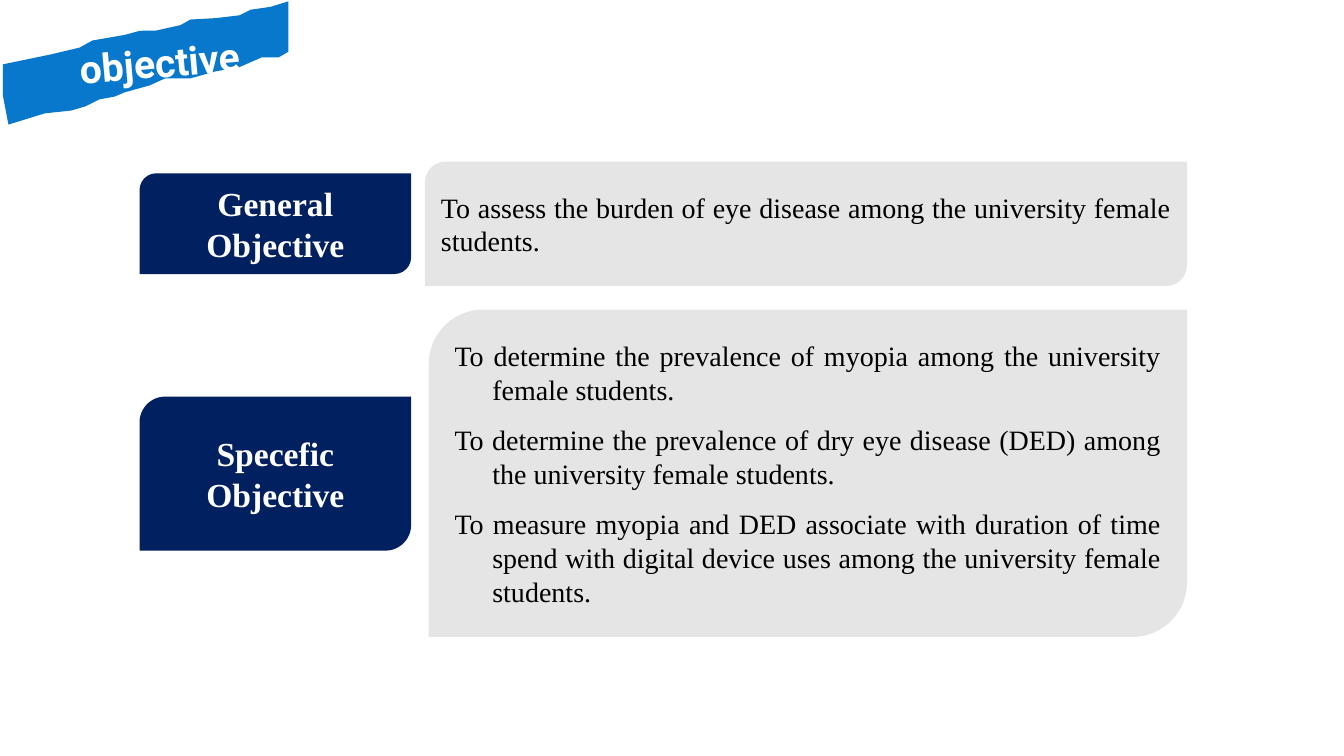
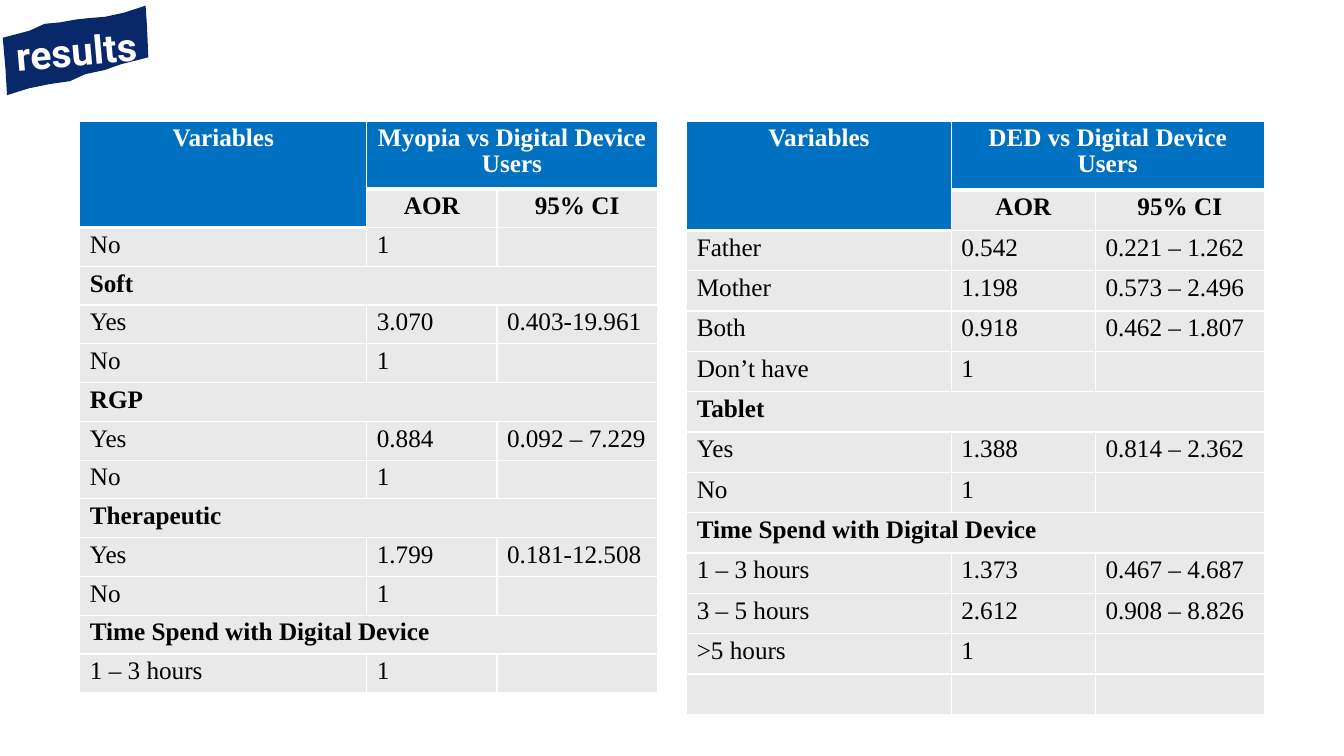
from dataclasses import dataclass
from math import cos, radians, sin

from lxml.etree import SubElement
from pptx import Presentation
from pptx.dml.color import RGBColor
from pptx.enum.shapes import MSO_SHAPE as Shape
from pptx.enum.text import MSO_ANCHOR as Anchor, PP_ALIGN as Align
from pptx.oxml.ns import qn
from pptx.util import Pt

# Shared style
BODY_FONT, TITLE_FONT = "Times New Roman", "Roboto"
NAVY, BLUE, GREY = "002060", "0070C0", "E9E9E9"
BLACK, WHITE = "000000", "FFFFFF"
BANNER_TILT = -5
HEADER_LINE_SPACING = 0.93


@dataclass(frozen=True)
class Banner:
    text: str
    color: str
    outline: tuple[tuple[float, float], ...]
    left_inset: float = 0


@dataclass(frozen=True)
class Card:
    left: float
    top: float
    width: float
    height: float
    paragraphs: tuple[str, ...]
    is_label: bool = False
    hanging: float = 0


@dataclass(frozen=True)
class ResultTable:
    left: float
    comparison: str
    widths: tuple[float, float, float]
    header_height: float
    row_height: float
    rows: tuple[tuple[str, ...], ...]


# Content
OBJECTIVE_BANNER = Banner(
    "objective", "0778CC",
    ((2, 46), (36, 39), (57, 34), (66, 29), (89, 25), (100, 22), (111, 22),
     (129, 18), (136, 14), (154, 13), (171, 11), (179, 7), (193, 5), (206, 1),
     (206, 37), (199, 41), (187, 41), (171, 48), (154, 51), (136, 56),
     (118, 56), (107, 61), (89, 66), (82, 69), (71, 71), (61, 76), (51, 79),
     (32, 81), (6, 89), (2, 68)),
    left_inset=18)
RESULTS_BANNER = Banner(
    "results", "08286A",
    ((2, 27), (21, 22), (32, 17), (43, 16), (54, 14), (63, 13), (75, 12),
     (89, 9), (104, 4), (105, 18), (106, 41), (86, 46), (75, 50), (61, 53),
     (50, 58), (36, 60), (21, 63), (5, 68), (4, 50)))

CARDS = (
    Card(99.7, 123.8, 194, 72, ("General Objective",), is_label=True),
    Card(303.6, 115.4, 544.3, 89, (
        "To assess the burden of eye disease among the university female students.",)),
    Card(99.7, 283.3, 194, 110, ("Specefic Objective",), is_label=True),
    Card(306.2, 221.2, 541.7, 233.8, (
        "To determine the prevalence of myopia among the university female students.",
        "To determine the prevalence of dry eye disease (DED) among the university "
        "female students.",
        "To measure myopia and DED associate with duration of time spend with digital "
        "device uses among the university female students."), hanging=27),
)

# A row with one entry is a section heading across the table
TABLES = (
    ResultTable(57, "Myopia vs Digital Device Users", (205, 93, 114.5), 48.3, 27.7, (
        ("No", "1", ""),
        ("Soft",),
        ("Yes", "3.070", "0.403-19.961"),
        ("No", "1", ""),
        ("RGP",),
        ("Yes", "0.884", "0.092 – 7.229"),
        ("No", "1", ""),
        ("Therapeutic",),
        ("Yes", "1.799", "0.181-12.508"),
        ("No", "1", ""),
        ("Time Spend with Digital Device",),
        ("1 – 3 hours", "1", ""))),
    ResultTable(490.5, "DED vs Digital Device Users", (189, 103, 120.5), 49.3, 28.8, (
        ("Father", "0.542", "0.221 – 1.262"),
        ("Mother", "1.198", "0.573 – 2.496"),
        ("Both", "0.918", "0.462 – 1.807"),
        ("Don’t have", "1", ""),
        ("Tablet",),
        ("Yes", "1.388", "0.814 – 2.362"),
        ("No", "1", ""),
        ("Time Spend with Digital Device",),
        ("1 – 3 hours", "1.373", "0.467 – 4.687"),
        ("3 – 5 hours", "2.612", "0.908 – 8.826"),
        (">5 hours", "1", ""),
        ("", "", ""))),
)


# Helpers
def rgb(value: str) -> RGBColor:
    return RGBColor.from_string(value)


def paint(box, color: str, opacity: int = 100) -> None:
    box.shadow.inherit = False
    box.fill.solid()
    box.fill.fore_color.rgb = rgb(color)
    box.line.fill.background()
    if opacity < 100:
        tint = box.fill._xPr.find(qn("a:solidFill"))[0]
        SubElement(tint, qn("a:alpha"), val=str(opacity * 1000))


def format_runs(para, size: float, color: str, bold: bool = False,
                font: str = BODY_FONT) -> None:
    for span in para.runs:
        span.font.name, span.font.size, span.font.bold = font, Pt(size), bold
        span.font.color.rgb = rgb(color)


def turn(x: float, y: float, degrees: float) -> tuple[float, float]:
    """Turn a point clockwise around the page corner."""
    angle = radians(degrees)
    return x * cos(angle) - y * sin(angle), x * sin(angle) + y * cos(angle)


# Title banner: a ragged outline whose text is tilted with the shape
def add_banner(page, banner: Banner) -> None:
    level = [turn(x, y, -BANNER_TILT) for x, y in banner.outline]
    points = [(Pt(x), Pt(y)) for x, y in level]
    builder = page.shapes.build_freeform(*points[0], scale=1.0)
    builder.add_line_segments(points[1:], close=True)
    box = builder.convert_to_shape()
    center_x, center_y = turn(box.left + box.width / 2,
                              box.top + box.height / 2, BANNER_TILT)
    box.left = int(center_x - box.width / 2)
    box.top = int(center_y - box.height / 2)
    box.rotation = BANNER_TILT
    paint(box, banner.color)

    frame = box.text_frame
    frame.text = banner.text
    frame.word_wrap = False
    frame.vertical_anchor = Anchor.MIDDLE
    frame.margin_left = Pt(banner.left_inset)
    frame.margin_right = frame.margin_top = frame.margin_bottom = 0
    frame.paragraphs[0].alignment = Align.CENTER
    format_runs(frame.paragraphs[0], 28, WHITE, True, TITLE_FONT)


def add_card(page, card: Card) -> None:
    box = page.shapes.add_shape(Shape.ROUND_2_DIAG_RECTANGLE, Pt(card.left),
                                Pt(card.top), Pt(card.width), Pt(card.height))
    frame = box.text_frame
    frame.text = "\n".join(card.paragraphs)
    frame.word_wrap = True
    frame.vertical_anchor = Anchor.MIDDLE
    if card.is_label:
        paint(box, NAVY)
    else:
        paint(box, BLACK, opacity=10)
    for para in frame.paragraphs:
        if card.is_label:
            para.alignment = Align.CENTER
            format_runs(para, 24, WHITE, bold=True)
        else:
            para.alignment = Align.JUSTIFY
            format_runs(para, 20, BLACK)
        if card.hanging:
            para.space_after = Pt(12)
            properties = para._p.get_or_add_pPr()
            properties.set("marL", str(Pt(card.hanging)))
            properties.set("indent", str(-Pt(card.hanging)))


def add_borders(cell, bottom: float) -> None:
    properties = cell._tc.get_or_add_tcPr()
    for side, width in (("lnL", 1), ("lnR", 1), ("lnT", 1), ("lnB", bottom)):
        line = SubElement(properties, qn(f"a:{side}"), w=str(Pt(width)))
        SubElement(SubElement(line, qn("a:solidFill")), qn("a:srgbClr"), val=WHITE)


def fill_cell(cell, text: str, is_header: bool, bold: bool, centered: bool,
              bottom: float) -> None:
    add_borders(cell, bottom)
    cell.fill.solid()
    cell.fill.fore_color.rgb = rgb(BLUE if is_header else GREY)
    cell.text_frame.text = text
    para = cell.text_frame.paragraphs[0]
    para.line_spacing = HEADER_LINE_SPACING
    para.alignment = Align.CENTER if centered else Align.LEFT
    format_runs(para, 18, WHITE if is_header else BLACK, bold)
    if not text:  # keeps empty cells from stretching their row
        para._p.get_or_add_endParaRPr().set("sz", "1200")


def add_result_table(page, data: ResultTable) -> None:
    rows = (("Variables", data.comparison, ""), ("", "AOR", "95% CI")) + data.rows
    heights = [data.header_height] + [data.row_height] * (len(rows) - 1)
    table = page.shapes.add_table(
        len(rows), len(data.widths), Pt(data.left), Pt(86.5),
        Pt(sum(data.widths)), Pt(sum(heights))).table
    table.horz_banding = False
    for column, width in zip(table.columns, data.widths):
        column.width = Pt(width)
    for row, height in zip(table.rows, heights):
        row.height = Pt(height)

    for i, texts in enumerate(rows):
        is_section = len(texts) == 1
        for j in range(len(data.widths)):
            is_header = i == 0 or (i == 1 and j == 0)
            fill_cell(table.cell(i, j), texts[j] if j < len(texts) else "",
                      is_header, bold=i < 2 or is_section, centered=i < 2,
                      bottom=3 if is_header else 1)
        if is_section:
            table.cell(i, 0).merge(table.cell(i, 2))
    table.cell(0, 0).merge(table.cell(1, 0))
    table.cell(0, 1).merge(table.cell(0, 2))


def main() -> None:
    deck = Presentation()
    deck.slide_width, deck.slide_height = Pt(960), Pt(540)
    blank = deck.slide_layouts[6]

    # Objectives
    page = deck.slides.add_slide(blank)
    add_banner(page, OBJECTIVE_BANNER)
    for card in CARDS:
        add_card(page, card)

    # Results
    page = deck.slides.add_slide(blank)
    add_banner(page, RESULTS_BANNER)
    for data in TABLES:
        add_result_table(page, data)

    deck.save("out.pptx")


if __name__ == "__main__":
    main()
